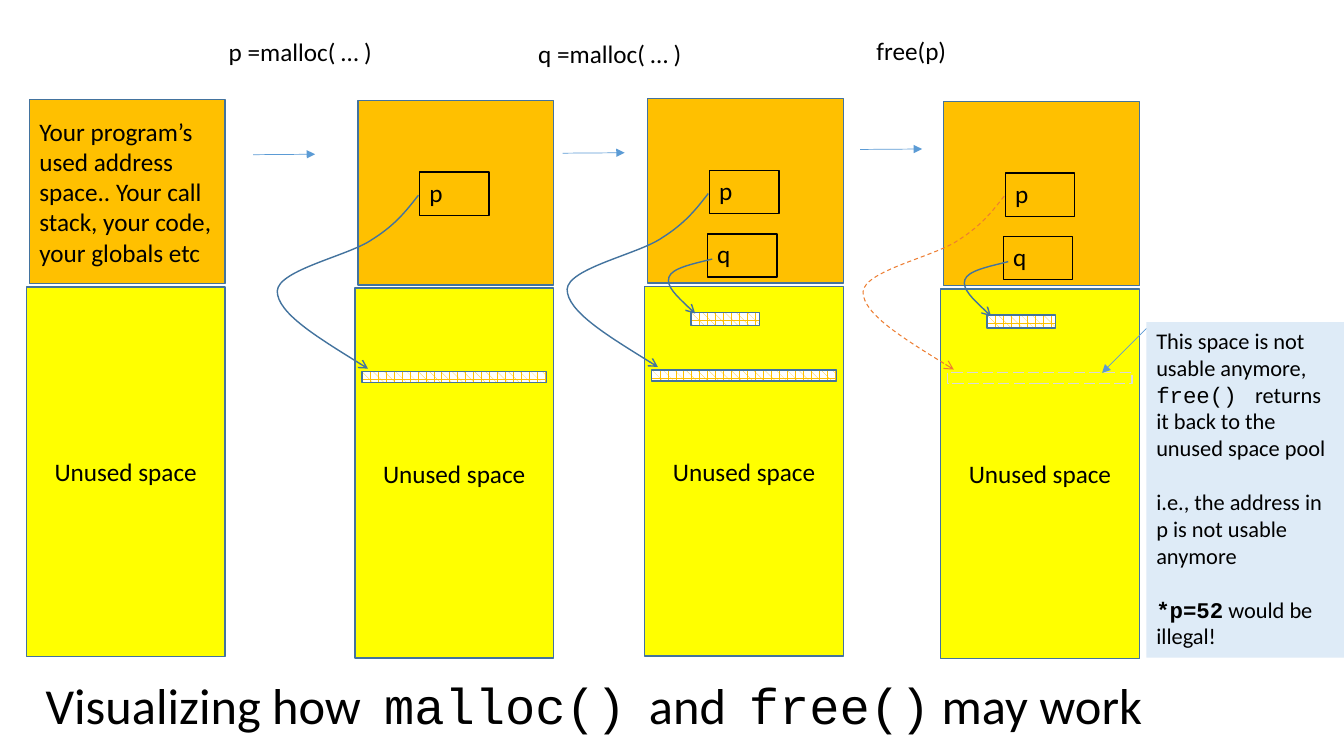
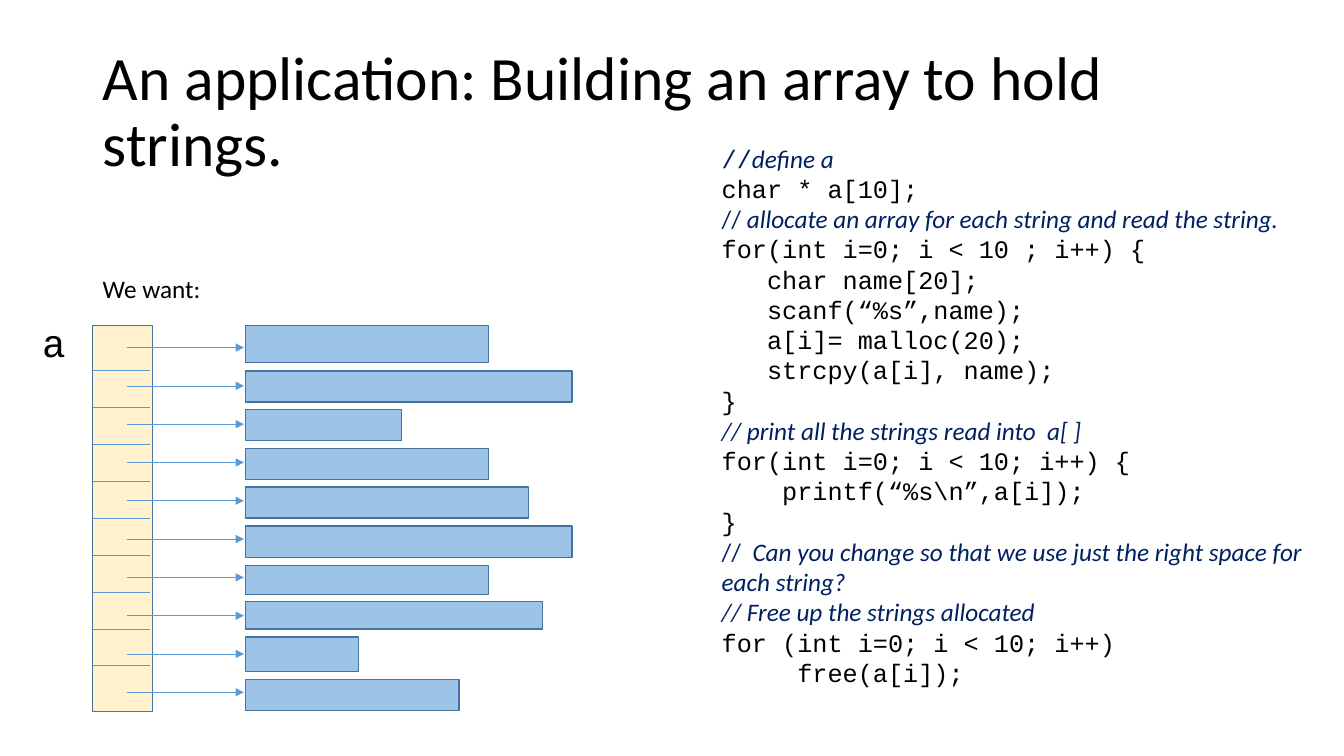
from dataclasses import dataclass, replace

from lxml.etree import SubElement
from pptx import Presentation
from pptx.dml.color import RGBColor
from pptx.enum.dml import MSO_LINE, MSO_PATTERN
from pptx.enum.shapes import MSO_CONNECTOR, MSO_SHAPE
from pptx.enum.text import MSO_ANCHOR, PP_ALIGN
from pptx.oxml.ns import qn
from pptx.util import Inches, Pt

# Slide grid: square cells, 133.3 columns by 75 rows
SLIDE_W, SLIDE_H = Inches(13.33), Inches(7.5)
COL, ROW = SLIDE_W / 133.3, SLIDE_H / 75

# Colours
BLACK = RGBColor(0x00, 0x00, 0x00)
WHITE = RGBColor(0xFF, 0xFF, 0xFF)
ORANGE = RGBColor(0xFF, 0xC0, 0x00)
YELLOW = RGBColor(0xFF, 0xFF, 0x00)
CREAM = RGBColor(0xFF, 0xF2, 0xCC)
SKY = RGBColor(0x9D, 0xC3, 0xE6)
PALE_BLUE = RGBColor(0xDE, 0xEB, 0xF7)
OUTLINE = RGBColor(0x43, 0x73, 0x9E)
ARROW_BLUE = RGBColor(0x5B, 0x9B, 0xD5)
STALE = RGBColor(0xED, 0x7D, 0x31)
GREY = RGBColor(0xD9, 0xD9, 0xD9)
NAVY = RGBColor(0x00, 0x20, 0x60)


@dataclass(frozen=True)
class Style:
    size: float = 18
    font: str = "Calibri"
    color: RGBColor = BLACK
    bold: bool = False
    italic: bool = False


# Text styles
BODY = Style()
CODE = Style(font="Courier New")
SLASHES = Style(color=NAVY)
REMARK = replace(SLASHES, italic=True)
CALLOUT = Style(size=16)
CALLOUT_CODE = replace(CODE, size=16)
CODE_CHAR = 1.5  # columns taken by one code character

# Pointer curves as cubic control points, relative to a panel's top left
P_CURVE = [(6.3, 9.4), (5.2, 10.8), (4.1, 12.3), (1.7, 13.8), (-0.6, 15.4),
           (-7.6, 16.8), (-7.7, 18.9), (-7.7, 21.1), (-3.2, 23.8), (1.3, 26.6)]
Q_CURVE = [(6.7, 15.9), (4.7, 16.4), (2.7, 16.8), (2.4, 17.7),
           (2.1, 18.6), (3.6, 20), (5, 21.3)]

# Program listing: indent in characters, then the runs of the line
LISTING = [
    (0, [("//", replace(CODE, color=NAVY)), ("define a", REMARK)]),
    (0, [("char * a[10];", CODE)]),
    (0, [("// ", SLASHES),
         ("allocate an array for each string and read the string.", REMARK)]),
    (0, [("for(int i=0; i < 10 ; i++) {", CODE)]),
    (3, [("char name[20];", CODE)]),
    (3, [("scanf(“%s”,name);", CODE)]),
    (3, [("a[i]= malloc(20);", CODE)]),
    (3, [("strcpy(a[i], name);", CODE)]),
    (0, [("}", CODE)]),
    (0, [("// print all the strings read into  a[ ]", REMARK)]),
    (0, [("for(int i=0; i < 10; i++) {", CODE)]),
    (4, [("printf(“%s\\n”,a[i]);", CODE)]),
    (0, [("}", CODE)]),
    (0, [("//  ", SLASHES),
         ("Can you change so that we use just the right space for each string?",
          REMARK)]),
    (0, [("// Free up the strings allocated", REMARK)]),
    (0, [("for (int i=0; i < 10; i++)", CODE)]),
    (5, [("free(a[i]);", CODE)]),
]

# Stored strings: top row, columns, rows
STRINGS = [(32.3, 24.1, 3.7), (36.8, 32.4, 3.1), (40.6, 15.5, 3.1),
           (44.5, 24.1, 3.1), (48.3, 28.1, 3.1), (52.2, 32.4, 3.1),
           (56.1, 24.1, 2.9), (59.7, 29.5, 2.7), (63.2, 11.2, 3.4),
           (67.4, 21.2, 3.1)]


def cells(x, y):
    return round(x * COL), round(y * ROW)


def write(shape, paragraphs, anchor=MSO_ANCHOR.TOP, align=PP_ALIGN.LEFT,
          leading=None, gap=0):
    """Fill a shape with paragraphs, each one a list of (text, style) runs."""
    frame = shape.text_frame
    frame.word_wrap = True
    frame.vertical_anchor = anchor
    for index, runs in enumerate(paragraphs):
        paragraph = frame.add_paragraph() if index else frame.paragraphs[0]
        paragraph.alignment = align
        if leading:
            paragraph.line_spacing = leading
        if index and gap:
            paragraph.space_before = Pt(gap)
        for text, style in runs:
            run = paragraph.add_run()
            run.text = text
            run.font.size = Pt(style.size)
            run.font.name = style.font
            run.font.color.rgb = style.color
            run.font.bold, run.font.italic = style.bold, style.italic


def text(slide, x, y, w, h, paragraphs, **layout):
    box = slide.shapes.add_textbox(*cells(x, y), *cells(w, h))
    write(box, paragraphs, **layout)
    return box


def title(slide, x, y, w, h, runs, **layout):
    text(slide, x, y, w, h, [runs], anchor=MSO_ANCHOR.MIDDLE, leading=0.9,
         **layout)


def stroke(shape, color, width=1, dash=None, head=None):
    shape.line.color.rgb = color
    shape.line.width = Pt(width)
    if dash:
        shape.line.dash_style = dash
    if head:
        SubElement(shape.element.spPr.find(qn("a:ln")), qn("a:tailEnd"),
                   type=head)


def box(slide, x, y, w, h, fill=None, outline=OUTLINE, dash=None):
    rect = slide.shapes.add_shape(MSO_SHAPE.RECTANGLE, *cells(x, y),
                                  *cells(w, h))
    rect.shadow.inherit = False
    if fill is None:
        rect.fill.background()
    else:
        rect.fill.solid()
        rect.fill.fore_color.rgb = fill
    if outline is None:
        rect.line.fill.background()
    else:
        stroke(rect, outline, dash=dash)
    return rect


def line(slide, start, end, head=None):
    link = slide.shapes.add_connector(MSO_CONNECTOR.STRAIGHT, *cells(*start),
                                      *cells(*end))
    stroke(link, ARROW_BLUE, 0.5, head=head)
    SubElement(link.element.spPr, qn("a:effectLst"))


def bend(outline):
    """Turn every three straight segments of an outline into a cubic curve."""
    segments = list(outline.element.iter(qn("a:lnTo")))
    for first in range(0, len(segments), 3):
        parent = segments[first].getparent()
        cubic = SubElement(parent, qn("a:cubicBezTo"))
        for segment in segments[first:first + 3]:
            cubic.append(segment[0])
            parent.remove(segment)


def pointer(slide, x, y, curve, color=OUTLINE, width=1, dash=None):
    start, *controls = [cells(x + dx, y + dy) for dx, dy in curve]
    builder = slide.shapes.build_freeform(*start)
    builder.add_line_segments(controls, close=False)
    arrow = builder.convert_to_shape()
    bend(arrow)
    arrow.shadow.inherit = False
    arrow.fill.background()
    stroke(arrow, color, width, dash, "arrow")


def allocated(slide, x, y, w, h):
    block = box(slide, x, y, w, h, WHITE)
    block.fill.patterned()
    block.fill.pattern = MSO_PATTERN.PLAID
    block.fill.fore_color.rgb = ORANGE
    block.fill.back_color.rgb = WHITE


def variable(slide, x, y, name):
    write(box(slide, x, y, 6.9, 4.3, outline=BLACK), [[(name, BODY)]])


def memory(slide, x, y, names="", freed=False, used_text=None):
    """One address space: used part, unused part, pointers and their blocks."""
    used = box(slide, x + 0.3, y, 19.4, 18.3, ORANGE)
    if used_text:
        write(used, [[(used_text, BODY)]], anchor=MSO_ANCHOR.MIDDLE)
    unused = box(slide, x, y + 18.6, 19.7, 36.7, YELLOW)
    write(unused, [[("Unused space", BODY)]], anchor=MSO_ANCHOR.MIDDLE,
          align=PP_ALIGN.CENTER)
    if "p" in names:
        variable(slide, x + 6.4, y + 7.1, "p")
        p_block = (x + 0.7, y + 26.9, 18.3, 1.1)
        if freed:
            box(slide, *p_block, YELLOW, GREY, MSO_LINE.LONG_DASH)
            pointer(slide, x, y, P_CURVE, STALE, 0.75, MSO_LINE.DASH)
        else:
            allocated(slide, *p_block)
            pointer(slide, x, y, P_CURVE)
    if "q" in names:
        variable(slide, x + 6.2, y + 13.4, "q")
        allocated(slide, x + 4.6, y + 21.2, 6.8, 1.3)
        pointer(slide, x, y, Q_CURVE)


def call(slide, label, label_at, width, arrow_at):
    text(slide, *label_at, width, 4, [[(label, BODY)]])
    x, y = arrow_at
    line(slide, arrow_at, (x + 6.15, y - 0.05), "triangle")


def malloc_slide(slide):
    # Memory after each call
    memory(slide, 2.62, 9.86, used_text="Your program’s used address space.. "
           "Your call stack, your code, your globals etc")
    memory(slide, 35.2, 9.97, "p")
    memory(slide, 63.95, 9.8, "pq")
    memory(slide, 93.3, 10.06, "pq", freed=True)

    # Calls between the states
    call(slide, "p =malloc( … )", (21.7, 3.1), 16.4, (25.1, 15.35))
    call(slide, "q =malloc( … )", (52.4, 3.35), 16.4, (55.8, 15.2))
    call(slide, "free(p)", (85.95, 3), 9.7, (85.3, 14.83))

    # Warning about the freed block
    warning = box(slide, 113.7, 31.95, 19.6, 33.3, PALE_BLUE, None)
    write(warning, [
        [("This space is not usable anymore, ", CALLOUT),
         ("free() ", CALLOUT_CODE),
         (" returns it back to the unused space pool", CALLOUT)],
        [("i.e., the address in p is not usable anymore", CALLOUT)],
        [("*p=52", replace(CALLOUT_CODE, bold=True)),
         (" would be illegal!", CALLOUT)],
    ], gap=19.2)
    line(slide, (113.7, 32.6), (109.3, 37), "triangle")

    # Title
    words, code = Style(size=36), replace(CODE, size=36)
    title(slide, 1.4, 66.9, 115, 6.8,
          [("Visualizing how  ", words), ("malloc()", code), ("  and  ", words),
           ("free()", code), (" may work", words)], align=PP_ALIGN.CENTER)


def strings_slide(slide):
    title(slide, 9.2, 4, 115, 14.5,
          [("An application: Building an array to hold strings.",
            Style(size=44))])
    wish = text(slide, 9.2, 26.6, 11.8, 4, [[("We want:", BODY)]])
    wish.text_frame.word_wrap = False

    # Array a with its ten cells
    box(slide, 9.2, 32.3, 5.9, 38.3, CREAM)
    for divider in range(len(STRINGS) - 1):
        y = 36.77 + 3.66 * divider
        line(slide, (9.2, y), (14.9, y))
    text(slide, 3.2, 31.05, 4.3, 5.7, [[("a", replace(CODE, size=28))]])

    # Strings and the arrows to them
    for index, (top, width, height) in enumerate(STRINGS):
        y = 34.48 + 3.8 * index
        line(slide, (12.6, y), (24.2, y), "triangle")
        box(slide, 24.34, top, width, height, SKY)

    # Program
    program = text(slide, 70.6, 13.7, 60, 55.5, [runs for _, runs in LISTING])
    for paragraph, (indent, _) in zip(program.text_frame.paragraphs, LISTING):
        if indent:
            margin = round(indent * CODE_CHAR * COL)
            paragraph._p.get_or_add_pPr().set("marL", str(margin))


def main():
    deck = Presentation()
    deck.slide_width, deck.slide_height = SLIDE_W, SLIDE_H
    blank = deck.slide_layouts[6]
    for build in (malloc_slide, strings_slide):
        build(deck.slides.add_slide(blank))
    deck.save("out.pptx")


main()
